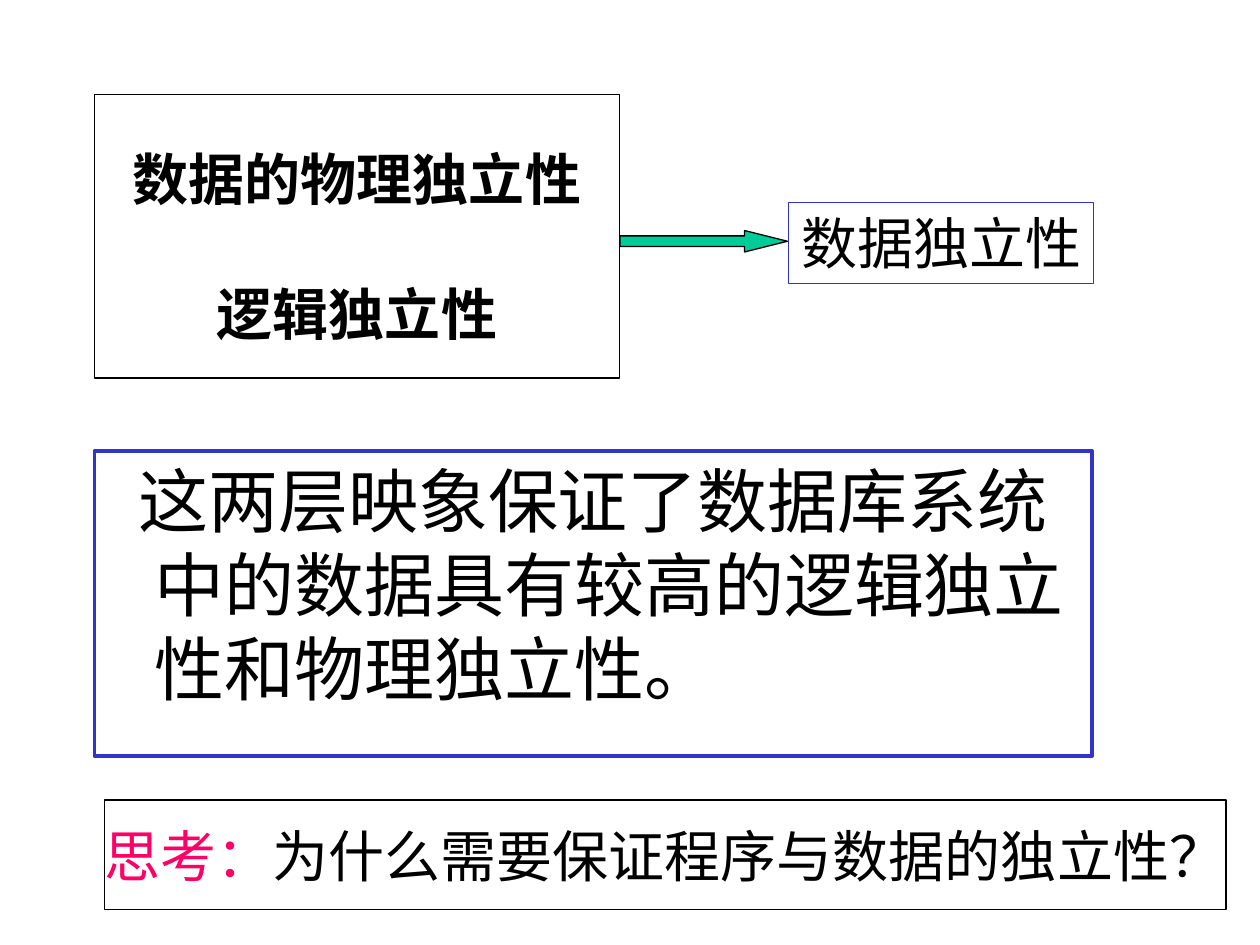
from pptx import Presentation
from pptx.dml.color import RGBColor
from pptx.enum import shapes, text
from pptx.util import Inches, Pt

WHITE = RGBColor(0xFF, 0xFF, 0xFF)
BLACK = RGBColor(0, 0, 0)
BLUE = RGBColor(0x33, 0x33, 0xCC)
GREEN = RGBColor(0, 0xCC, 0x99)
PINK = RGBColor(0xFF, 0, 0x66)
SERIF = "Times New Roman"
SANS = "Noto Sans CJK SC"


def add_outlined(slide, kind, place, fill, line, width=0.75):
    """Add a filled preset shape with a plain outline."""
    shape = slide.shapes.add_shape(kind, *[Inches(n) for n in place])
    shape.shadow.inherit = False
    shape.fill.solid()
    shape.fill.fore_color.rgb = fill
    shape.line.color.rgb = line
    shape.line.width = Pt(width)
    return shape


def add_box(slide, place, paragraphs, line=BLACK, width=0.75, size=32,
            font=SERIF, bold=False, align=text.PP_ALIGN.CENTER,
            anchor=text.MSO_ANCHOR.MIDDLE, wrap=False):
    """Add a framed text box; each paragraph is a list of (wording, colour)."""
    box = add_outlined(slide, shapes.MSO_SHAPE.RECTANGLE, place, WHITE, line, width)
    frame = box.text_frame
    frame.word_wrap = wrap
    frame.vertical_anchor = anchor
    for i, parts in enumerate(paragraphs):
        paragraph = frame.add_paragraph() if i else frame.paragraphs[0]
        paragraph.alignment = align
        for wording, colour in parts:
            run = paragraph.add_run()
            run.text = wording
            run.font.name = font
            run.font.size = Pt(size)
            run.font.bold = bold
            run.font.color.rgb = colour
    return frame


def main():
    prs = Presentation()
    prs.slide_width, prs.slide_height = Inches(10), Inches(7.5)
    slide = prs.slides.add_slide(prs.slide_layouts[6])
    left, top = text.PP_ALIGN.LEFT, text.MSO_ANCHOR.TOP

    # Conclusion, with a hanging indent
    conclusion = add_box(
        slide, (0.75, 3.58, 7.92, 2.42),
        [[("这两层映象保证了数据库系统中的数据具有较高的逻辑独立性和物理独立性。", BLACK)]],
        line=BLUE, width=2.25, size=40, font=SANS, align=left, anchor=top, wrap=True)
    indents = conclusion.paragraphs[0]._p.get_or_add_pPr()
    indents.set("marL", str(Inches(0.38)))
    indents.set("indent", str(Inches(-0.13)))

    # Two kinds of independence, one line apart
    kinds = add_box(slide, (0.75, 0.75, 4.17, 2.25),
                    [[("数据的物理独立性", BLACK)], [("逻辑独立性", BLACK)]], bold=True)
    kinds.margin_top = Inches(0.2)
    kinds.paragraphs[1].space_before = Pt(38.5)

    # Both lead to data independence
    add_box(slide, (6.26, 1.61, 2.42, 0.64), [[("数据独立性", BLACK)]],
            line=BLUE, align=left, anchor=top)
    arrow = add_outlined(slide, shapes.MSO_SHAPE.RIGHT_ARROW,
                         (4.92, 1.83, 1.33, 0.17), GREEN, BLACK)
    arrow.adjustments[1] = 2

    # Question to think about
    add_box(slide, (0.83, 6.35, 8.9, 0.87),
            [[("思考：", PINK), ("为什么需要保证程序与数据的独立性？", BLACK)]])

    prs.save("out.pptx")


if __name__ == "__main__":
    main()
